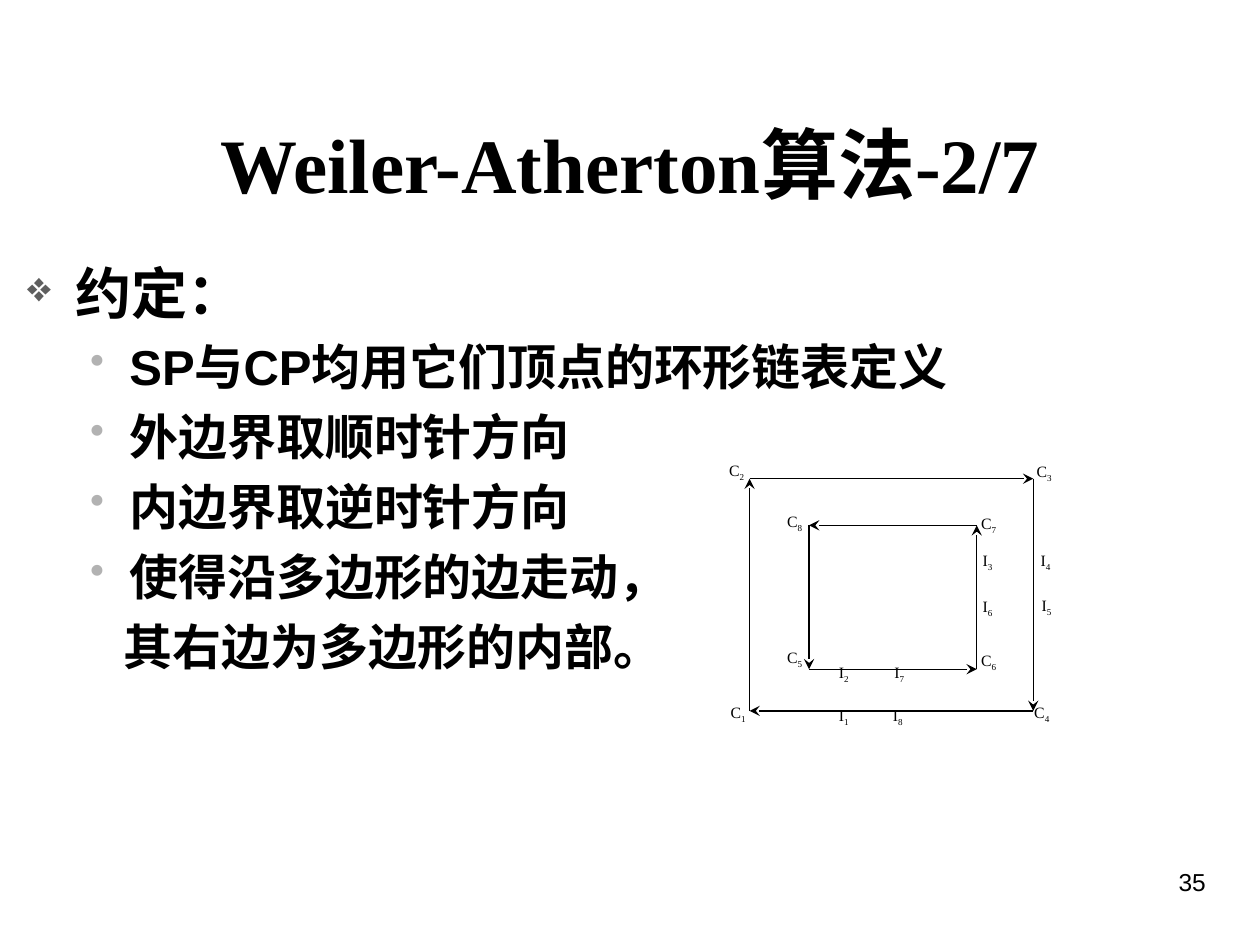
"""Build the Weiler-Atherton slide on polygon boundary conventions."""
from lxml import etree
from pptx import Presentation
from pptx import util as u
from pptx.dml.color import RGBColor
from pptx.enum import shapes, text
from pptx.oxml.ns import qn

BLACK = "000000"
SERIF, SANS = "Times New Roman", "Arial"
TITLE = "Weiler-Atherton算法-2/7"
PAGE = "35"

HEAD = dict(size=32, left=0.97, indent=-0.97, bullet=("❖", "5F5F5F", 75))
ITEM = dict(size=28, left=2.06, indent=-0.79, bullet=("•", "B2B2B2", 85))
CONTINUED = dict(size=28, left=1.95, indent=0, bullet=None)
BODY = [
    ("约定：", HEAD),
    ("SP与CP均用它们顶点的环形链表定义", ITEM),
    ("外边界取顺时针方向", ITEM),
    ("内边界取逆时针方向", ITEM),
    ("使得沿多边形的边走动，", ITEM),
    ("其右边为多边形的内部。", CONTINUED),
]

OUTER = [(15.11, 14.33), (15.11, 9.65), (20.83, 9.65), (20.83, 14.33)]
INNER = [(16.31, 13.49), (19.69, 13.49), (19.69, 10.59), (16.31, 10.59)]
LABEL_SIZE = (0.97, 0.81)
LABELS = {
    "C1": (14.48, 14.05), "C2": (14.45, 9.17),
    "C3": (20.65, 9.19), "C4": (20.6, 14.05),
    "C5": (15.62, 12.93), "C6": (19.53, 13.0),
    "C7": (19.53, 10.24), "C8": (15.62, 10.19),
    "I1": (16.66, 14.1), "I2": (16.66, 13.23),
    "I3": (19.56, 10.97), "I4": (20.73, 10.97),
    "I5": (20.75, 11.89), "I6": (19.56, 11.91),
    "I7": (17.78, 13.23), "I8": (17.75, 14.1),
}


def rgb(value):
    """Return a colour from a hex string."""
    return RGBColor.from_string(value)


def style(font, name, size, bold=False):
    """Set the face, size, weight and black colour of a font."""
    font.name, font.size, font.bold = name, u.Pt(size), bold
    font.color.rgb = rgb(BLACK)


def add_text(parent, x, y, w, h, anchor=text.MSO_ANCHOR.TOP):
    """Add a wrapping text box and return its text frame."""
    tf = parent.add_textbox(*map(u.Cm, (x, y, w, h))).text_frame
    tf.word_wrap, tf.vertical_anchor = True, anchor
    return tf


def add_line(parent, x, y, w, h, content, align, name, size, bold=False,
             anchor=text.MSO_ANCHOR.TOP):
    """Add a box holding a single paragraph of uniform text."""
    tf = add_text(parent, x, y, w, h, anchor)
    tf.text = content
    p = tf.paragraphs[0]
    p.alignment = align
    style(p.runs[0].font, name, size, bold)


def set_bullet(p, left, indent, bullet):
    """Set the indents and the bullet of a paragraph."""
    pPr = p._p.get_or_add_pPr()
    pPr.set("marL", str(u.Cm(left)))
    pPr.set("indent", str(u.Cm(indent)))
    if bullet is None:
        etree.SubElement(pPr, qn("a:buNone"))
        return
    char, color, percent = bullet
    clr = etree.SubElement(pPr, qn("a:buClr"))
    etree.SubElement(clr, qn("a:srgbClr"), val=color)
    etree.SubElement(pPr, qn("a:buSzPct"), val=str(percent * 1000))
    etree.SubElement(pPr, qn("a:buChar"), char=char)


def add_body(parent):
    """Add the heading and its bulleted conventions."""
    tf = add_text(parent, 0.3, 5.08, 25.6, 9.45)
    for i, (content, look) in enumerate(BODY):
        p = tf.add_paragraph() if i else tf.paragraphs[0]
        p.text = content
        p.level = 0 if look is HEAD else 1
        if i:
            p.space_before = u.Pt(6.4)
        set_bullet(p, look["left"], look["indent"], look["bullet"])
        style(p.runs[0].font, SANS, look["size"], True)


def add_loop(parent, corners):
    """Join the corners in order with arrows, closing the loop."""
    for start, end in zip(corners, corners[1:] + corners[:1]):
        c = parent.add_connector(shapes.MSO_CONNECTOR.STRAIGHT,
                                 *map(u.Cm, start + end))
        c.line.width = u.Pt(0.75)
        c.line.color.rgb = rgb(BLACK)
        etree.SubElement(c.line._get_or_add_ln(), qn("a:tailEnd"), type="stealth")
        etree.SubElement(c._element.spPr, qn("a:effectLst"))


def add_label(parent, name, at):
    """Add a vertex label with its number as a subscript."""
    p = add_text(parent, *at, *LABEL_SIZE).paragraphs[0]
    p.alignment = text.PP_ALIGN.JUSTIFY
    for char in name:
        r = p.add_run()
        r.text = char
        style(r.font, SERIF, 9)
    r._r.get_or_add_rPr().set("baseline", "-25000")


def main():
    """Build and save the slide."""
    prs = Presentation()
    prs.slide_width, prs.slide_height = u.Cm(25.4), u.Cm(19.05)
    s = prs.slides.add_slide(prs.slide_layouts[6])
    add_line(s.shapes, 18.21, 17.35, 6.35, 1.32, PAGE,
             text.PP_ALIGN.RIGHT, SANS, 14)
    add_body(s.shapes)
    add_line(s.shapes, 0.84, 1.7, 23.72, 3.18, TITLE, text.PP_ALIGN.CENTER,
             SERIF, 44, True, text.MSO_ANCHOR.MIDDLE)
    diagram = s.shapes.add_group_shape().shapes
    for corners in (OUTER, INNER):
        add_loop(diagram, corners)
    for name, at in LABELS.items():
        add_label(diagram, name, at)
    prs.save("out.pptx")


if __name__ == "__main__":
    main()
